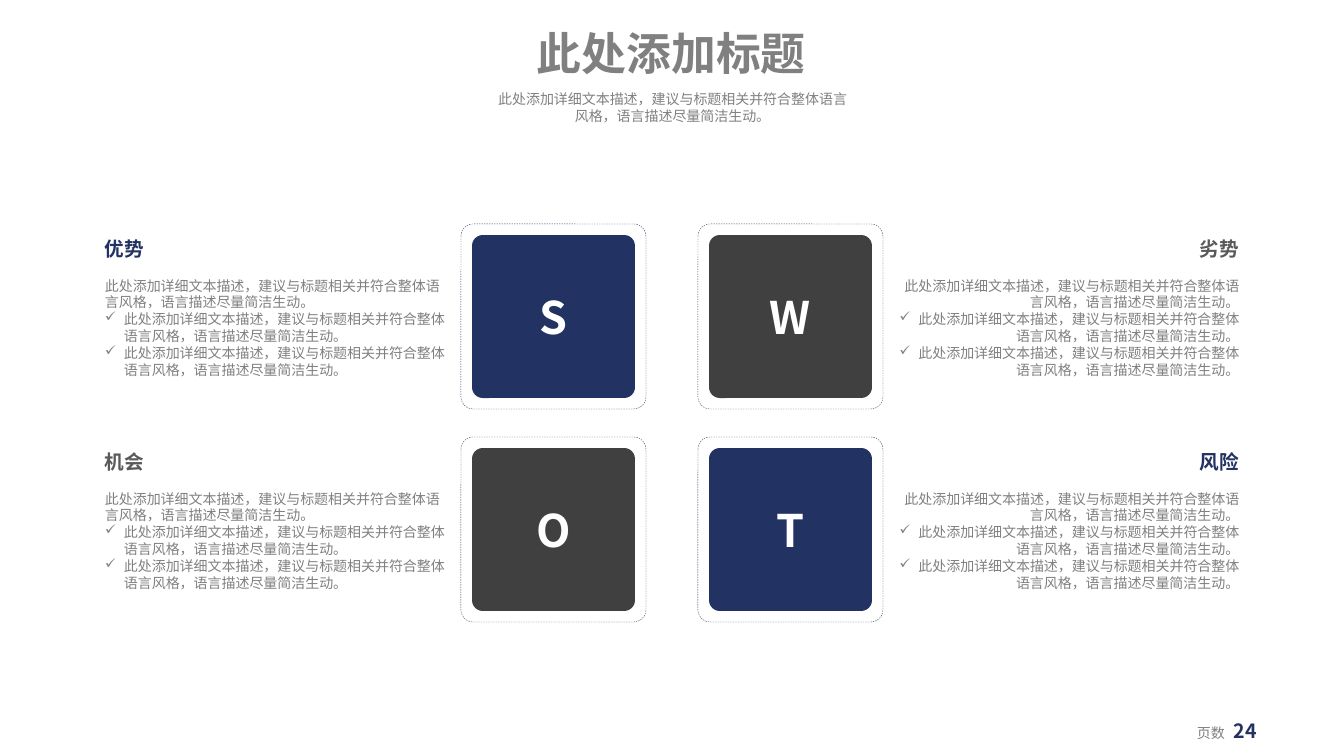
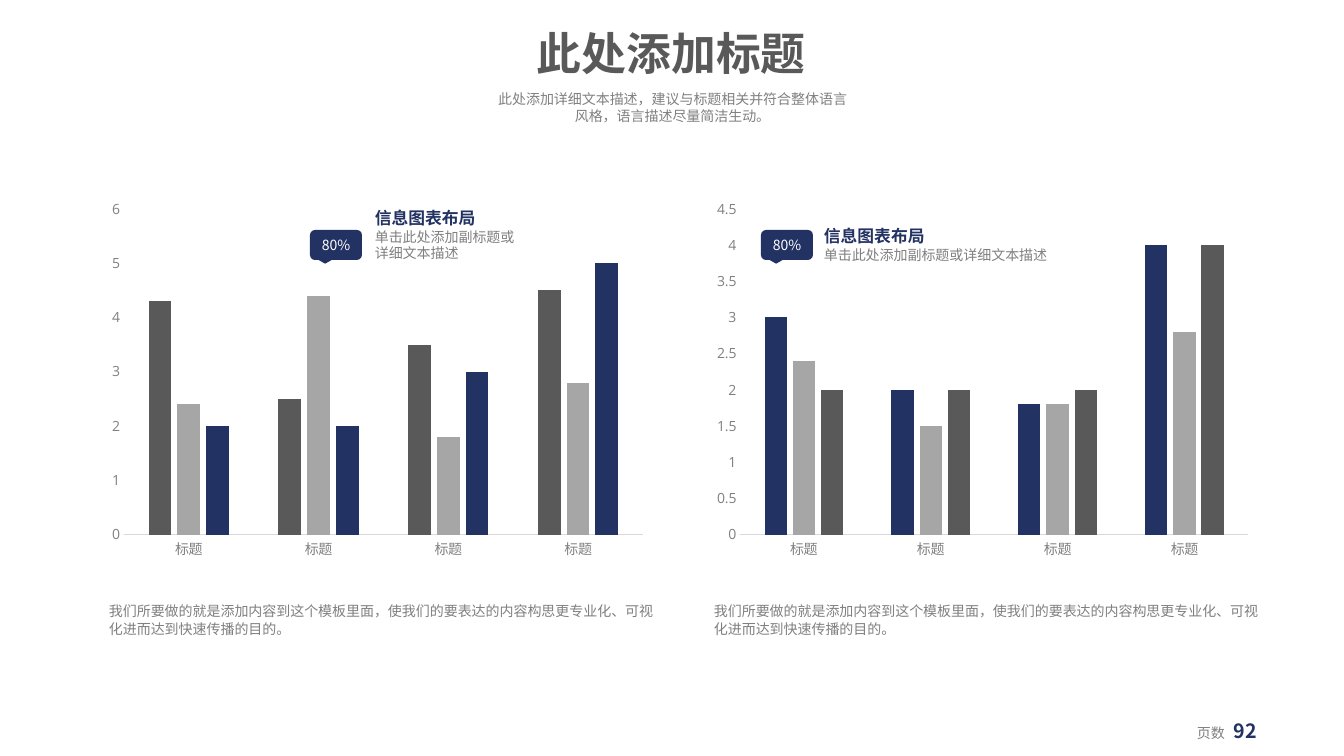
from lxml import etree
from pptx import Presentation
from pptx.chart.data import CategoryChartData
from pptx.dml.color import RGBColor
from pptx.enum.chart import XL_CHART_TYPE, XL_TICK_MARK
from pptx.enum.dml import MSO_LINE
from pptx.enum.shapes import MSO_SHAPE
from pptx.enum.text import MSO_ANCHOR, PP_ALIGN
from pptx.oxml.ns import qn
from pptx.util import Emu, Pt

COLUMNS = XL_CHART_TYPE.COLUMN_CLUSTERED
NO_TICKS = XL_TICK_MARK.NONE
DASH = MSO_LINE.DASH
ROUNDED = MSO_SHAPE.ROUNDED_RECTANGLE
CALLOUT = MSO_SHAPE.ROUNDED_RECTANGULAR_CALLOUT
TOP, MIDDLE = MSO_ANCHOR.TOP, MSO_ANCHOR.MIDDLE
LEFT, CENTER, RIGHT = PP_ALIGN.LEFT, PP_ALIGN.CENTER, PP_ALIGN.RIGHT

PX = 914400 / 100.8
FONT = "Noto Sans CJK SC"
DIGIT_FONT = "Open Sans"
COLORS = {name: RGBColor.from_string(value) for name, value in {
    "navy": "223262",
    "dark": "404040",
    "slate": "595959",
    "gray": "808080",
    "silver": "A6A6A6",
    "rule": "D9D9D9",
    "white": "FFFFFF",
}.items()}

TITLE = "此处添加标题"
DETAIL = "此处添加详细文本描述，建议与标题相关并符合整体语言风格，语言描述尽量简洁生动。"
CAPTION = "信息图表布局"
CAPTION_DETAIL = "单击此处添加副标题或详细文本描述"
SUMMARY = "我们所要做的就是添加内容到这个模板里面，使我们的要表达的内容构思更专业化、可视化进而达到快速传播的目的。"


def px(*lengths):
    return [Emu(round(length * PX)) for length in lengths]


def write(shape, paragraphs, align=LEFT, wrap=True, anchor=TOP, leading=1.2):
    """Fill a shape; each paragraph is a list of (text, size, color, bold) spans."""
    frame = shape.text_frame
    frame.word_wrap = wrap
    frame.vertical_anchor = anchor
    for index, spans in enumerate(paragraphs):
        paragraph = frame.add_paragraph() if index else frame.paragraphs[0]
        paragraph.alignment = align
        paragraph.line_spacing = Pt(leading * max(span[1] for span in spans))
        for text, size, color, bold in spans:
            span = paragraph.add_run()
            span.text = text
            span.font.size = Pt(size)
            span.font.bold = bold
            span.font.color.rgb = COLORS[color]
            span.font.name = FONT
            etree.SubElement(span.font._element, qn("a:ea"), typeface=FONT)
    return frame.paragraphs


deck = Presentation()
deck.slide_width, deck.slide_height = px(1344, 756)

# Shared title, subtitle and page number
pages = []
for number, title_color in [("24", "gray"), ("92", "slate")]:
    page = deck.slides.add_slide(deck.slide_layouts[6])
    pages.append(page)
    write(page.shapes.add_textbox(*px(526, 21, 291, 65)),
          [[(TITLE, 32, title_color, True)]], CENTER, wrap=False)
    write(page.shapes.add_textbox(*px(484, 86, 377, 44)),
          [[(DETAIL, 10, "gray", False)]], CENTER)
    footer = write(page.shapes.add_textbox(*px(1187, 714, 93, 34)),
                   [[("页数\t", 10, "gray", False), (number, 14, "navy", True)]])
    tabs = etree.SubElement(footer[0]._p.get_or_add_pPr(), qn("a:tabLst"))
    etree.SubElement(tabs, qn("a:tab"), pos=str(px(37)[0]), algn="l")

swot_page, chart_page = pages

# SWOT grid: letter, heading, column, row, tile color, heading color
FRAME, TILE = 185, 163
INSET = (FRAME - TILE) // 2
for letter, heading, column, row, tile_color, heading_color in [
    ("S", "优势", 0, 0, "navy", "navy"),
    ("W", "劣势", 1, 0, "dark", "slate"),
    ("O", "机会", 0, 1, "dark", "slate"),
    ("T", "风险", 1, 1, "navy", "navy"),
]:
    left = 461 + 237 * column
    top = 224 + 213 * row

    tile = swot_page.shapes.add_shape(ROUNDED, *px(left + INSET, top + INSET, TILE, TILE))
    tile.fill.solid()
    tile.fill.fore_color.rgb = COLORS[tile_color]
    tile.line.fill.background()
    write(tile, [[(letter, 32, "white", True)]], CENTER, anchor=MIDDLE)

    frame = swot_page.shapes.add_shape(ROUNDED, *px(left, top, FRAME, FRAME))
    frame.fill.background()
    frame.line.color.rgb = COLORS[tile_color]
    frame.line.width = Pt(0.25)
    frame.line.dash_style = DASH
    for shape in (tile, frame):
        shape.shadow.inherit = False
        shape.adjustments[0] = 0.066

    # Heading, introduction and two check-marked points
    box = swot_page.shapes.add_textbox(*px(95 + 788 * column, top + 8, 366, 152))
    paragraphs = write(box, [[(heading, 14, heading_color, True)]]
                       + [[(DETAIL, 10, "gray", False)]] * 3,
                       RIGHT if column else LEFT)
    paragraphs[0].space_after = Pt(12)
    indent = px(19)[0]
    for paragraph in paragraphs[2:]:
        properties = paragraph._p.get_or_add_pPr()
        properties.set("marL", str(indent))
        properties.set("indent", str(-indent))
        etree.SubElement(properties, qn("a:buChar"), char="✓")

# Column charts: values by series, colors, axis scale, callout left, caption box
for index, (series_values, series_colors, maximum, unit, callout_left, caption_box) in enumerate([
    ([(4.3, 2.5, 3.5, 4.5), (2.4, 4.4, 1.8, 2.8), (2, 2, 3, 5)],
     ("slate", "silver", "navy"), 6, 1, 310, (365, 203, 167, 65)),
    ([(3, 2, 1.8, 4), (2.4, 1.5, 1.8, 2.8), (2, 2, 2, 4)],
     ("navy", "silver", "slate"), 4.5, 0.5, 761, (814, 221, 352, 47)),
]):
    offset = 605 * index
    data = CategoryChartData()
    data.categories = ["标题"] * 4
    for order, values in enumerate(series_values, 1):
        data.add_series(f"Series {order}", values)
    chart = chart_page.shapes.add_chart(COLUMNS, *px(101 + offset, 192, 553, 374), data).chart
    chart.has_title = False
    chart.has_legend = False
    chart.font.size = Pt(10)
    chart.font.name = FONT

    plot = chart.plots[0]
    plot.gap_width = 219
    plot.overlap = -27
    plot.vary_by_categories = False
    for series, color in zip(plot.series, series_colors):
        series.format.fill.solid()
        series.format.fill.fore_color.rgb = COLORS[color]

    for axis, font_name in [(chart.category_axis, FONT), (chart.value_axis, DIGIT_FONT)]:
        axis.has_major_gridlines = False
        axis.major_tick_mark = axis.minor_tick_mark = NO_TICKS
        axis.tick_labels.font.size = Pt(10)
        axis.tick_labels.font.name = font_name
        axis.tick_labels.font.color.rgb = COLORS["gray"]
    chart.category_axis.format.line.color.rgb = COLORS["rule"]
    chart.category_axis.format.line.width = Pt(0.75)
    chart.value_axis.format.line.fill.background()
    chart.value_axis.minimum_scale = 0
    chart.value_axis.maximum_scale = maximum
    chart.value_axis.major_unit = unit

    # Callout with its caption, and the summary under the chart
    callout = chart_page.shapes.add_shape(CALLOUT, *px(callout_left, 230, 52, 30))
    callout.shadow.inherit = False
    callout.fill.solid()
    callout.fill.fore_color.rgb = COLORS["navy"]
    callout.line.fill.background()
    write(callout, [[("80%", 10, "white", False)]], CENTER, wrap=False, anchor=MIDDLE)
    write(chart_page.shapes.add_textbox(*px(*caption_box)),
          [[(CAPTION, 12, "navy", True)], [(CAPTION_DETAIL, 10, "gray", False)]])
    write(chart_page.shapes.add_textbox(*px(99 + offset, 596, 573, 46)),
          [[(SUMMARY, 10, "gray", False)]], leading=1.28)

deck.save("out.pptx")
